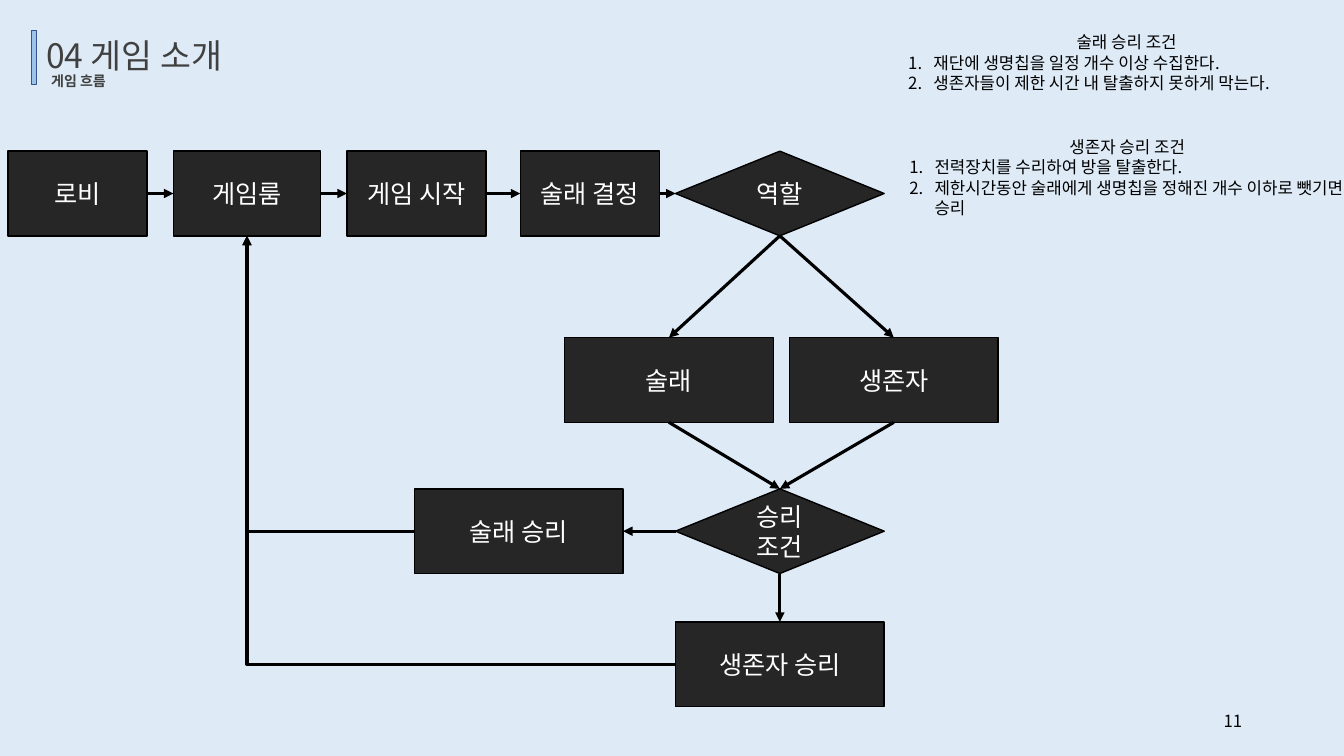
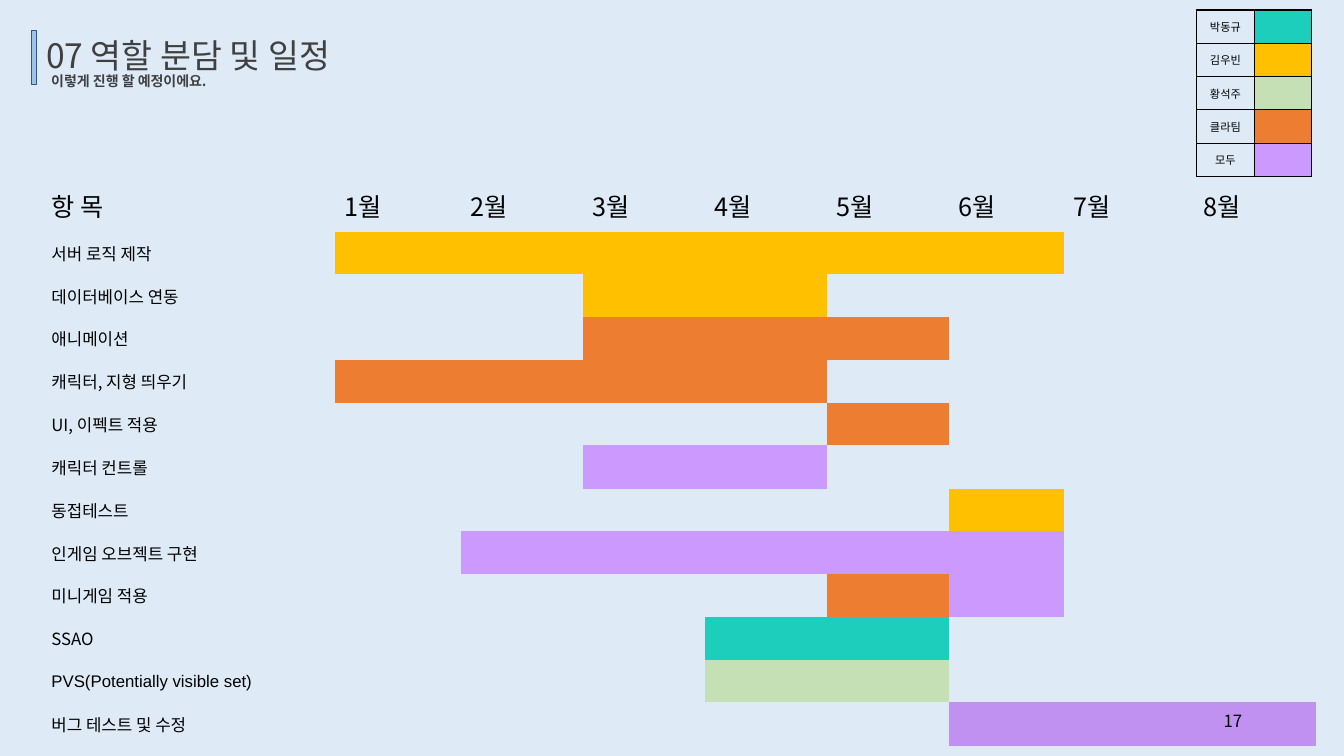
from itertools import cycle, islice

from lxml import etree
from pptx import Presentation
from pptx.dml.color import RGBColor
from pptx.enum.shapes import MSO_CONNECTOR, MSO_SHAPE
from pptx.enum.text import MSO_ANCHOR, PP_ALIGN
from pptx.oxml.ns import qn
from pptx.util import Emu, Pt

RECTANGLE, DIAMOND = MSO_SHAPE.RECTANGLE, MSO_SHAPE.DIAMOND
STRAIGHT, ELBOW = MSO_CONNECTOR.STRAIGHT, MSO_CONNECTOR.ELBOW
LEFT, CENTER, RIGHT = PP_ALIGN.LEFT, PP_ALIGN.CENTER, PP_ALIGN.RIGHT
TOP, MIDDLE = MSO_ANCHOR.TOP, MSO_ANCHOR.MIDDLE
SIDE_TOP, SIDE_LEFT, SIDE_BOTTOM, SIDE_RIGHT = range(4)

PX = 9144  # 100 px to the inch
FONT = "Noto Sans CJK KR"
NO_TABLE_STYLE = "{2D5ABB26-0587-4C30-8999-92F81FD0307C}"

BACKGROUND = "DEEBF7"
BLACK, WHITE = "000000", "FFFFFF"
HEADING = "404040"
BAR_FILL, BAR_LINE = "9DC3E6", "325491"
NODE_FILL = "262626"
TEAL, YELLOW, GREEN = "1ECEBC", "FFC000", "C5E0B4"
ORANGE, PURPLE, DEEP_PURPLE = "ED7D31", "CC99FF", "C191F1"

NODE_HEIGHT = 84
# key: text, shape, left, top, width
FLOW_NODES = {
    "lobby": ("로비", RECTANGLE, 0, 0, 138),
    "room": ("게임룸", RECTANGLE, 164, 0, 146),
    "start": ("게임 시작", RECTANGLE, 336, 0, 138),
    "choice": ("술래 결정", RECTANGLE, 508, 0, 138),
    "role": ("역할", DIAMOND, 662, 0, 207),
    "seeker": ("술래", RECTANGLE, 552, 185, 207),
    "survivor": ("생존자", RECTANGLE, 775, 185, 207),
    "condition": ("승리 조건", DIAMOND, 662, 335, 207),
    "seeker_win": ("술래 승리", RECTANGLE, 403, 335, 207),
    "survivor_win": ("생존자 승리", RECTANGLE, 662, 467, 207),
}
FLOW_ARROWS = [
    ("lobby", SIDE_RIGHT, "room", SIDE_LEFT),
    ("room", SIDE_RIGHT, "start", SIDE_LEFT),
    ("start", SIDE_RIGHT, "choice", SIDE_LEFT),
    ("choice", SIDE_RIGHT, "role", SIDE_LEFT),
    ("role", SIDE_BOTTOM, "seeker", SIDE_TOP),
    ("role", SIDE_BOTTOM, "survivor", SIDE_TOP),
    ("seeker", SIDE_BOTTOM, "condition", SIDE_TOP),
    ("survivor", SIDE_BOTTOM, "condition", SIDE_TOP),
    ("condition", SIDE_LEFT, "seeker_win", SIDE_RIGHT),
    ("condition", SIDE_BOTTOM, "survivor_win", SIDE_TOP),
    ("seeker_win", SIDE_LEFT, "room", SIDE_BOTTOM),
    ("survivor_win", SIDE_LEFT, "room", SIDE_BOTTOM),
]

# task, then (first month, last month, colour) spans
SCHEDULE = [
    ("서버 로직 제작", [(1, 6, YELLOW)]),
    ("데이터베이스 연동", [(3, 4, YELLOW)]),
    ("애니메이션", [(3, 5, ORANGE)]),
    ("캐릭터, 지형 띄우기", [(1, 4, ORANGE)]),
    ("UI, 이펙트 적용", [(5, 5, ORANGE)]),
    ("캐릭터 컨트롤", [(3, 4, PURPLE)]),
    ("동접테스트", [(6, 6, YELLOW)]),
    ("인게임 오브젝트 구현", [(2, 6, PURPLE)]),
    ("미니게임 적용", [(5, 5, ORANGE), (6, 6, PURPLE)]),
    ("SSAO", [(4, 5, TEAL)]),
    ("PVS(Potentially visible set)", [(4, 5, GREEN)]),
    ("버그 테스트 및 수정", [(6, 8, DEEP_PURPLE)]),
]
SCHEDULE_COLUMNS = [291, 125, 121, 121, 121, 121, 114, 129, 121]
SCHEDULE_ROWS = [53, *islice(cycle((42, 43)), len(SCHEDULE))]
LEGEND = [("박동규", TEAL), ("김우빈", YELLOW), ("황석주", GREEN),
          ("클라팀", ORANGE), ("모두", PURPLE)]


def px(*lengths):
    return [Emu(length * PX) for length in lengths]


def rgb(value):
    return RGBColor.from_string(value)


def write_text(paragraph, text, *, size, color=BLACK, bold=False, font=FONT,
               align=LEFT):
    paragraph.alignment = align
    run = paragraph.add_run()
    run.text = text
    run.font.size = Pt(size)
    run.font.bold = bold
    run.font.color.rgb = rgb(color)
    run.font.name = font
    properties = run.font._element
    east_asian = etree.Element(qn("a:ea"), typeface=font)
    properties.find(qn("a:latin")).addnext(east_asian)


def number_paragraph(paragraph):
    properties = paragraph._p.get_or_add_pPr()
    properties.set("marL", str(25 * PX))
    properties.set("indent", str(-25 * PX))
    etree.SubElement(properties, qn("a:buFont"), typeface="+mj-lt")
    etree.SubElement(properties, qn("a:buAutoNum"), type="arabicPeriod")


def add_text_box(slide, box, anchor=TOP):
    frame = slide.shapes.add_textbox(*px(*box)).text_frame
    frame.word_wrap = True
    frame.vertical_anchor = anchor
    return frame


def add_box(slide, kind, box, fill, line):
    shape = slide.shapes.add_shape(kind, *px(*box))
    shape.shadow.inherit = False
    shape.fill.solid()
    shape.fill.fore_color.rgb = rgb(fill)
    shape.line.color.rgb = rgb(line)
    shape.line.width = Pt(1)
    return shape


def add_arrow(slide, start, start_side, end, end_side):
    """Join two nodes; a left-to-bottom link turns one corner."""
    bent = (start_side, end_side) == (SIDE_LEFT, SIDE_BOTTOM)
    connector = slide.shapes.add_connector(ELBOW if bent else STRAIGHT, 0, 0, 0, 0)
    connector.begin_connect(start, start_side)
    connector.end_connect(end, end_side)
    connector.line.color.rgb = rgb(BLACK)
    connector.line.width = Pt(2.25)
    properties = connector._element.spPr
    if bent:
        properties.find(qn("a:prstGeom")).set("prst", "bentConnector2")
    etree.SubElement(properties.find(qn("a:ln")), qn("a:tailEnd"), type="triangle")
    etree.SubElement(properties, qn("a:effectLst"))


def add_frame(presentation, title, subtitle, number):
    """Add a slide with its title block and page number."""
    slide = presentation.slides.add_slide(presentation.slide_layouts[6])
    frame = add_text_box(slide, (36, 30, 534, 50))
    write_text(frame.paragraphs[0], title, size=24, color=HEADING)
    add_box(slide, RECTANGLE, (31, 30, 5, 54), BAR_FILL, BAR_LINE)
    frame = add_text_box(slide, (41, 67, 509, 27))
    write_text(frame.paragraphs[0], subtitle, size=10, color=HEADING, bold=True)
    return slide


def add_page_number(slide, number):
    frame = add_text_box(slide, (942, 695, 300, 40), MIDDLE)
    write_text(frame.paragraphs[0], number, size=12, align=RIGHT)


def add_flow(slide, left, top):
    nodes = {}
    for key, (text, kind, x, y, width) in FLOW_NODES.items():
        box = (left + x, top + y, width, NODE_HEIGHT)
        node = nodes[key] = add_box(slide, kind, box, NODE_FILL, BLACK)
        node.text_frame.word_wrap = True
        node.text_frame.vertical_anchor = MIDDLE
        write_text(node.text_frame.paragraphs[0], text, size=18, color=WHITE,
                   align=CENTER)
    for start, start_side, end, end_side in FLOW_ARROWS:
        add_arrow(slide, nodes[start], start_side, nodes[end], end_side)


def add_conditions(slide, box, heading, conditions):
    frame = add_text_box(slide, box)
    write_text(frame.paragraphs[0], heading, size=12, align=CENTER)
    for condition in conditions:
        paragraph = frame.add_paragraph()
        number_paragraph(paragraph)
        write_text(paragraph, condition, size=12)


def add_plain_table(slide, left, top, columns, rows):
    """Add a table without style, sized by its column and row lengths."""
    box = px(left, top, sum(columns), sum(rows))
    table = slide.shapes.add_table(len(rows), len(columns), *box).table
    table.first_row = table.horz_banding = False
    table._tbl.tblPr.find(qn("a:tableStyleId")).text = NO_TABLE_STYLE
    for column, width in zip(table.columns, px(*columns)):
        column.width = width
    for row, height in zip(table.rows, px(*rows)):
        row.height = height
    return table


def format_cell(cell, text="", fill=None, *, size, **text_format):
    cell.vertical_anchor = MIDDLE
    if fill:
        cell.fill.solid()
        cell.fill.fore_color.rgb = rgb(fill)
    else:
        cell.fill.background()
    paragraph = cell.text_frame.paragraphs[0]
    if text:
        write_text(paragraph, text, size=size, **text_format)
    else:
        paragraph._p.get_or_add_endParaRPr().set("sz", str(size * 100))


def add_borders(cell):
    properties = cell._tc.get_or_add_tcPr()
    for index, side in enumerate(("lnL", "lnR", "lnT", "lnB")):
        line = etree.Element(qn(f"a:{side}"), w=str(Pt(1)))
        fill = etree.SubElement(line, qn("a:solidFill"))
        etree.SubElement(fill, qn("a:srgbClr"), val=BLACK)
        properties.insert(index, line)


def add_schedule(slide, left, top):
    table = add_plain_table(slide, left, top, SCHEDULE_COLUMNS, SCHEDULE_ROWS)
    headings = ["항 목"] + [f"{month}월" for month in range(1, 9)]
    for column, heading in enumerate(headings):
        format_cell(table.cell(0, column), heading, size=18)
    for row, (task, spans) in enumerate(SCHEDULE, 1):
        font = "Arial" if task.startswith("PVS") else FONT
        format_cell(table.cell(row, 0), task, size=12, font=font)
        fills = {month: color for first, last, color in spans
                 for month in range(first, last + 1)}
        for month in range(1, 9):
            format_cell(table.cell(row, month), fill=fills.get(month), size=12)


def add_legend(slide, left, top):
    table = add_plain_table(slide, left, top, [57, 57], [33] * len(LEGEND))
    for row, (name, color) in enumerate(LEGEND):
        label, swatch = table.cell(row, 0), table.cell(row, 1)
        format_cell(label, name, size=8, align=CENTER)
        format_cell(swatch, fill=color, size=8)
        for cell in (label, swatch):
            add_borders(cell)


def build_flow_slide(presentation):
    slide = add_frame(presentation, "04 게임 소개", "게임 흐름", "11")
    add_flow(slide, 8, 150)
    add_conditions(slide, (891, 27, 453, 71), "술래 승리 조건", [
        "재단에 생명칩을 일정 개수 이상 수집한다.",
        "생존자들이 제한 시간 내 탈출하지 못하게 막는다."])
    add_conditions(slide, (892, 131, 452, 111), "생존자 승리 조건", [
        "전력장치를 수리하여 방을 탈출한다.",
        "제한시간동안 술래에게 생명칩을 정해진 개수 이하로 뺏기면 승리"])
    add_page_number(slide, "11")


def build_schedule_slide(presentation):
    slide = add_frame(presentation, "07 역할 분담 및 일정",
                      "이렇게 진행 할 예정이에요.", "17")
    add_schedule(slide, 41, 177)
    add_legend(slide, 1187, 10)
    add_page_number(slide, "17")


def main():
    presentation = Presentation()
    presentation.slide_width, presentation.slide_height = px(1333, 750)
    background = presentation.slide_master.background.fill
    background.solid()
    background.fore_color.rgb = rgb(BACKGROUND)
    build_flow_slide(presentation)
    build_schedule_slide(presentation)
    presentation.save("out.pptx")


if __name__ == "__main__":
    main()
